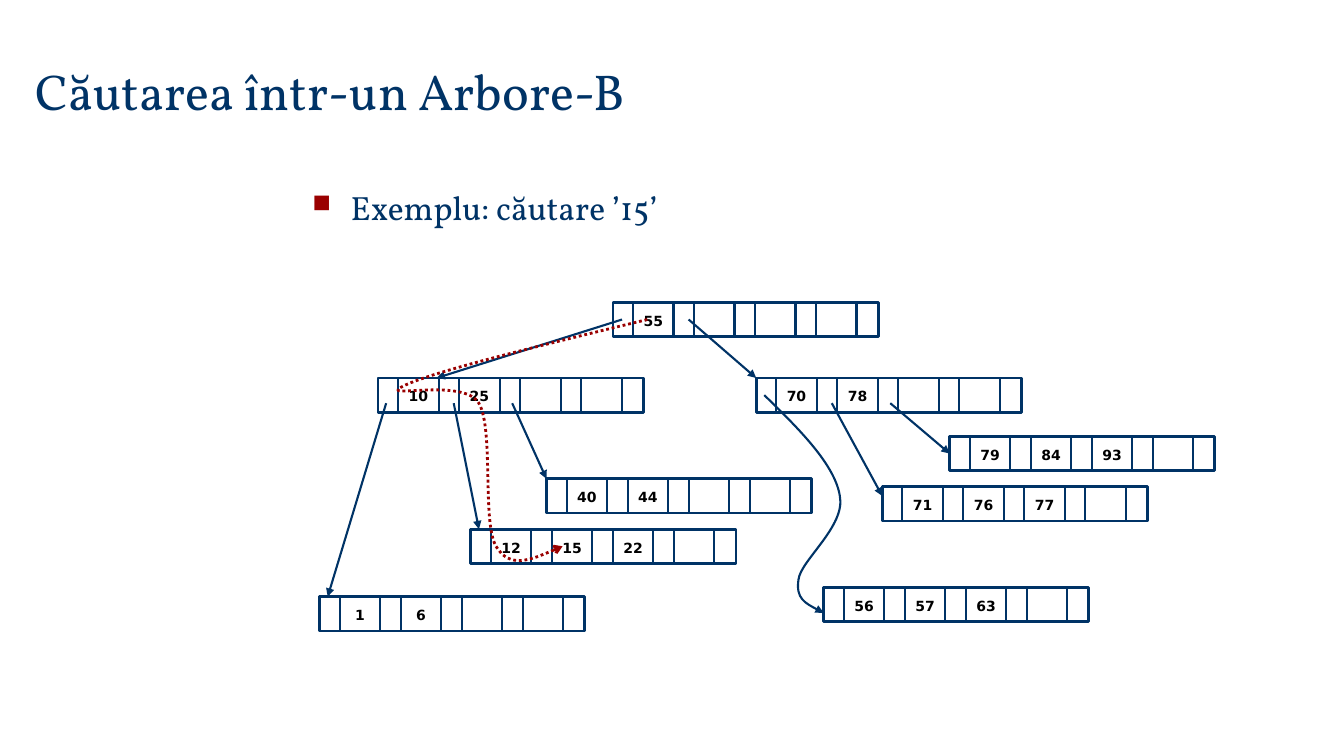
from dataclasses import dataclass

from lxml import etree
from pptx import Presentation
from pptx.dml.color import RGBColor
from pptx.enum.dml import MSO_LINE
from pptx.enum.shapes import MSO_CONNECTOR, MSO_SHAPE
from pptx.enum.text import MSO_ANCHOR, MSO_AUTO_SIZE, PP_ALIGN
from pptx.oxml.ns import qn
from pptx.util import Inches, Pt

STRAIGHT = MSO_CONNECTOR.STRAIGHT
RECTANGLE = MSO_SHAPE.RECTANGLE
DOTTED = MSO_LINE.ROUND_DOT
BOTTOM = MSO_ANCHOR.BOTTOM
GROW = MSO_AUTO_SIZE.SHAPE_TO_FIT_TEXT
LEFT, CENTER = PP_ALIGN.LEFT, PP_ALIGN.CENTER


@dataclass(frozen=True)
class Theme:
    navy: RGBColor = RGBColor(0x00, 0x33, 0x66)
    red: RGBColor = RGBColor(0x9A, 0x00, 0x00)
    white: RGBColor = RGBColor(0xFF, 0xFF, 0xFF)
    black: RGBColor = RGBColor(0x00, 0x00, 0x00)
    serif: str = "Vollkorn"
    sans: str = "DejaVu Sans"
    title_size: Pt = Pt(36)
    body_size: Pt = Pt(24)
    key_size: Pt = Pt(10)
    thick: Pt = Pt(2)
    thin: Pt = Pt(1.5)


theme = Theme()


def add_text(shapes, text, box, font_name, size, color, align=LEFT):
    label = shapes.add_textbox(*(Inches(value) for value in box))
    label.text_frame.word_wrap = True
    paragraph = label.text_frame.paragraphs[0]
    paragraph.text = text
    paragraph.alignment = align
    font = paragraph.font
    font.name, font.size, font.color.rgb = font_name, size, color
    return label


def style_line(shape, color, width, head=None):
    shape.line.color.rgb = color
    shape.line.width = width
    properties = shape.element.spPr
    if head:
        etree.SubElement(properties.find(qn("a:ln")), qn("a:tailEnd"), type=head)
    etree.SubElement(properties, qn("a:effectLst"))


prs = Presentation()
prs.slide_width, prs.slide_height = Inches(13.33), Inches(7.5)
slide = prs.slides.add_slide(prs.slide_layouts[6])
shapes = slide.shapes

# Title
title = add_text(shapes, "Căutarea într-un Arbore-B", (0.25, 0.54, 10.48, 0.71),
                 theme.serif, theme.title_size, theme.navy)
title.text_frame.vertical_anchor = BOTTOM
title.text_frame.auto_size = GROW

# Bulleted example
example = add_text(shapes, "Exemplu: căutare ’15’", (3, 1.25, 9.25, 2.17),
                   theme.serif, theme.body_size, theme.navy)
example.text_frame.margin_top = Inches(0.6)
bullet = example.text_frame.paragraphs[0].font._element.getparent()
bullet.set("marL", str(Inches(0.38)))
bullet.set("indent", str(-Inches(0.38)))
bullet_color = etree.Element(qn("a:buClr"))
etree.SubElement(bullet_color, qn("a:srgbClr"), val=str(theme.red))
bullet_parts = [
    bullet_color,
    etree.Element(qn("a:buSzPct"), val="75000"),
    etree.Element(qn("a:buChar"), char="■"),
]
for position, part in enumerate(bullet_parts):
    bullet.insert(position, part)

# Tree nodes: four key cells, with a narrow pointer cell around each
NODE_WIDTH, NODE_HEIGHT = 2.63, 0.34
POINTER_WIDTH, KEY_WIDTH, KEY_PITCH, KEY_SLOTS = 0.2, 0.4, 0.605, 4
nodes = [
    (7.5, 3.75, (70, 78)),
    (6.08, 3, (55,)),
    (3.75, 3.75, (10, 25)),
    (5.42, 4.75, (40, 44)),
    (4.67, 5.25, (12, 15, 22)),
    (9.42, 4.33, (79, 84, 93)),
    (8.75, 4.83, (71, 76, 77)),
    (8.17, 5.83, (56, 57, 63)),
    (3.17, 5.92, (1, 6)),
]
frames = {}
for left, top, keys in nodes:
    node = shapes.add_group_shape().shapes
    frame = node.add_shape(RECTANGLE, Inches(left), Inches(top),
                           Inches(NODE_WIDTH), Inches(NODE_HEIGHT))
    frame.fill.solid()
    frame.fill.fore_color.rgb = theme.white
    style_line(frame, theme.navy, theme.thick)
    frames[keys[0]] = frame
    for slot in range(KEY_SLOTS):
        key_left = left + POINTER_WIDTH + slot * KEY_PITCH
        if slot < len(keys):
            key = add_text(node, str(keys[slot]), (key_left, top + 0.05, KEY_WIDTH, 0.27),
                           theme.sans, theme.key_size, theme.black, CENTER)
            key.text_frame.auto_size = GROW
            key.text_frame.paragraphs[0].font.bold = True
        for x in (key_left, key_left + KEY_WIDTH):
            divider = node.add_connector(STRAIGHT, Inches(x), Inches(top + 0.01),
                                         Inches(x), Inches(top + 0.35))
            style_line(divider, theme.navy, theme.thin)

# Straight pointers, with the first key of a node joined at its left side
pointers = [
    (6.17, 3.17, 4.33, 3.75, None),
    (6.83, 3.17, 7.5, 3.75, None),
    (3.83, 4, 3.25, 5.92, None),
    (4.5, 4, 4.75, 5.25, None),
    (5.08, 4, 5.42, 4.75, None),
    (8.25, 4, 8.75, 4.92, None),
    (8.83, 4, 9.42, 4.5, 79),
]
for *ends, joined_key in pointers:
    pointer = shapes.add_connector(STRAIGHT, *(Inches(value) for value in ends))
    if joined_key:
        pointer.end_connect(frames[joined_key], 1)
    style_line(pointer, theme.navy, theme.thin, "triangle")

# Curved pointer and search route: a start, then three points per Bézier curve
pointer_points = [
    (7.58, 3.92),
    (7.93, 4.26), (8.28, 4.61), (8.33, 4.92),
    (8.39, 5.22), (7.94, 5.56), (7.92, 5.75),
    (7.89, 5.94), (8.03, 6.01), (8.17, 6.08),
]
search_points = [
    (6.42, 3.17),
    (5.35, 3.43), (4.28, 3.69), (4, 3.83),
    (3.72, 3.97), (4.6, 3.74), (4.75, 4),
    (4.9, 4.26), (4.78, 5.18), (4.92, 5.42),
    (5.06, 5.65), (5.32, 5.53), (5.58, 5.42),
]
curves = [
    (pointer_points, theme.navy, theme.thin, "triangle", None),
    (search_points, theme.red, theme.thick, "arrow", DOTTED),
]
for points, color, width, head, dash in curves:
    start, *rest = [(Inches(x), Inches(y)) for x, y in points]
    builder = shapes.build_freeform(*start)
    builder.add_line_segments(rest, close=False)
    curve = builder.convert_to_shape()
    curve.fill.background()
    style_line(curve, color, width, head)
    if dash:
        curve.line.dash_style = dash
    # Turn each run of three segments into one cubic curve
    segments = list(curve.element.iter(qn("a:lnTo")))
    outline = segments[0].getparent()
    for first in range(0, len(segments), 3):
        cubic = etree.SubElement(outline, qn("a:cubicBezTo"))
        for segment in segments[first:first + 3]:
            cubic.append(segment[0])
            outline.remove(segment)

prs.save("out.pptx")
